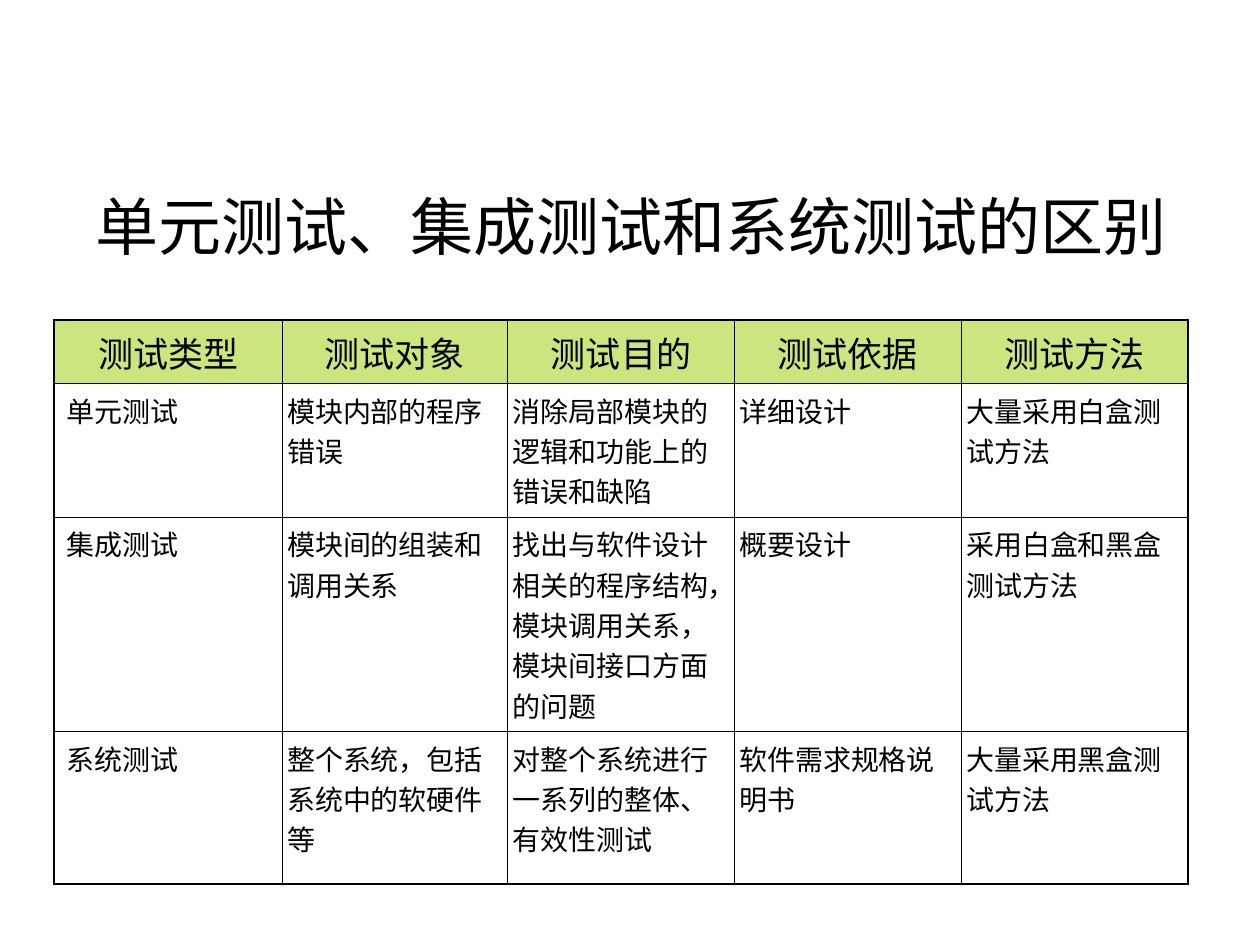
from lxml import etree
from pptx import Presentation
from pptx.dml.color import RGBColor
from pptx.enum.text import MSO_ANCHOR, PP_ALIGN
from pptx.oxml.ns import qn
from pptx.util import Inches, Pt

BLACK = RGBColor(0x00, 0x00, 0x00)
GREEN = RGBColor(0x99, 0xCC, 0x00)
LEFT, CENTER = PP_ALIGN.LEFT, PP_ALIGN.CENTER
TOP, MIDDLE = MSO_ANCHOR.TOP, MSO_ANCHOR.MIDDLE
FONT = "Arial"
THIN, THICK = 0.45, 1.08

TITLE = "单元测试、集成测试和系统测试的区别"
ROWS = [
    ["测试类型", "测试对象", "测试目的", "测试依据", "测试方法"],
    ["单元测试", "模块内部的程序错误", "消除局部模块的逻辑和功能上的错误和缺陷",
     "详细设计", "大量采用白盒测试方法"],
    ["集成测试", "模块间的组装和调用关系",
     "找出与软件设计相关的程序结构，模块调用关系，模块间接口方面的问题",
     "概要设计", "采用白盒和黑盒测试方法"],
    ["系统测试", "整个系统，包括系统中的软硬件等",
     "对整个系统进行一系列的整体、有效性测试",
     "软件需求规格说明书", "大量采用黑盒测试方法"],
]
WIDTHS = [1.81, 1.79, 1.8, 1.8, 1.8]
HEIGHTS = [0.44, 0.88, 1.41, 1.21]


def write(frame, text, size, align=LEFT):
    frame.word_wrap = True
    para = frame.paragraphs[0]
    para.alignment = align
    run = para.add_run()
    run.text = text
    run.font.name = FONT
    run.font.size = Pt(size)
    run.font.color.rgb = BLACK


def inset(box, side):
    box.margin_left = box.margin_right = Inches(side)
    box.margin_top = box.margin_bottom = Inches(0.05)


def edge(cell, side, width):
    """Draw one border of a cell; side is L, R, T or B."""
    props = cell._tc.get_or_add_tcPr()
    line = etree.SubElement(props, qn(f"a:ln{side}"), w=str(Pt(width)))
    fill = etree.SubElement(line, qn("a:solidFill"))
    etree.SubElement(fill, qn("a:srgbClr"), val=str(BLACK))


def tint(cell):
    """Fill a cell with half-transparent green."""
    cell.fill.solid()
    cell.fill.fore_color.rgb = GREEN
    color = cell._tc.tcPr.find(f"{qn('a:solidFill')}/{qn('a:srgbClr')}")
    etree.SubElement(color, qn("a:alpha"), val="50000")


def add_title(slide, left, top, width, height):
    title = slide.shapes.title
    title.left, title.top, title.width, title.height = left, top, width, height
    frame = title.text_frame
    frame.vertical_anchor = MIDDLE
    inset(frame, 0.1)
    write(frame, TITLE, 36, CENTER)


def add_grid(slide, left, top, width, height):
    table = slide.shapes.add_table(
        len(ROWS), len(WIDTHS), left, top, width, height).table
    table.first_row = table.horz_banding = False
    for col, size in zip(table.columns, WIDTHS):
        col.width = Inches(size)
    for row, size in zip(table.rows, HEIGHTS):
        row.height = Inches(size)
    last_row, last_col = len(ROWS) - 1, len(WIDTHS) - 1
    for r, texts in enumerate(ROWS):
        for c, text in enumerate(texts):
            cell = table.cell(r, c)
            head = r == 0
            cell.vertical_anchor = TOP
            inset(cell, 0.1 if head or c == 0 else 0.04)
            write(cell.text_frame, text, 20 if head else 16,
                  CENTER if head else LEFT)
            outer = {"L": c == 0, "R": c == last_col,
                     "T": head, "B": r == last_row}
            for side, thick in outer.items():
                edge(cell, side, THICK if thick else THIN)
            if head:
                tint(cell)
            else:
                cell.fill.background()


def main():
    deck = Presentation()
    deck.slide_width, deck.slide_height = Inches(10), Inches(7.5)
    slide = deck.slides.add_slide(deck.slide_layouts[5])
    add_title(slide, Inches(0.51), Inches(1.39), Inches(9), Inches(0.79))
    add_grid(slide, Inches(0.43), Inches(2.54), Inches(9), Inches(3.94))
    deck.save("out.pptx")


if __name__ == "__main__":
    main()
